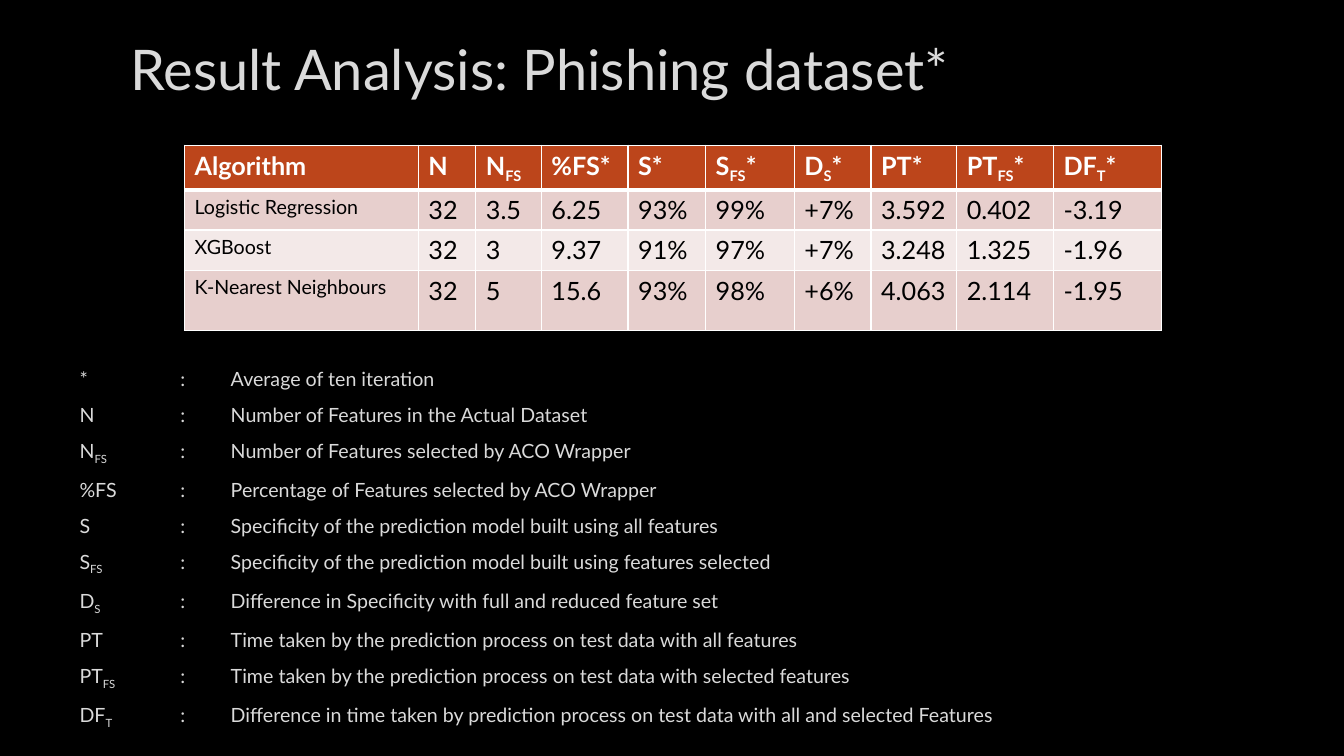
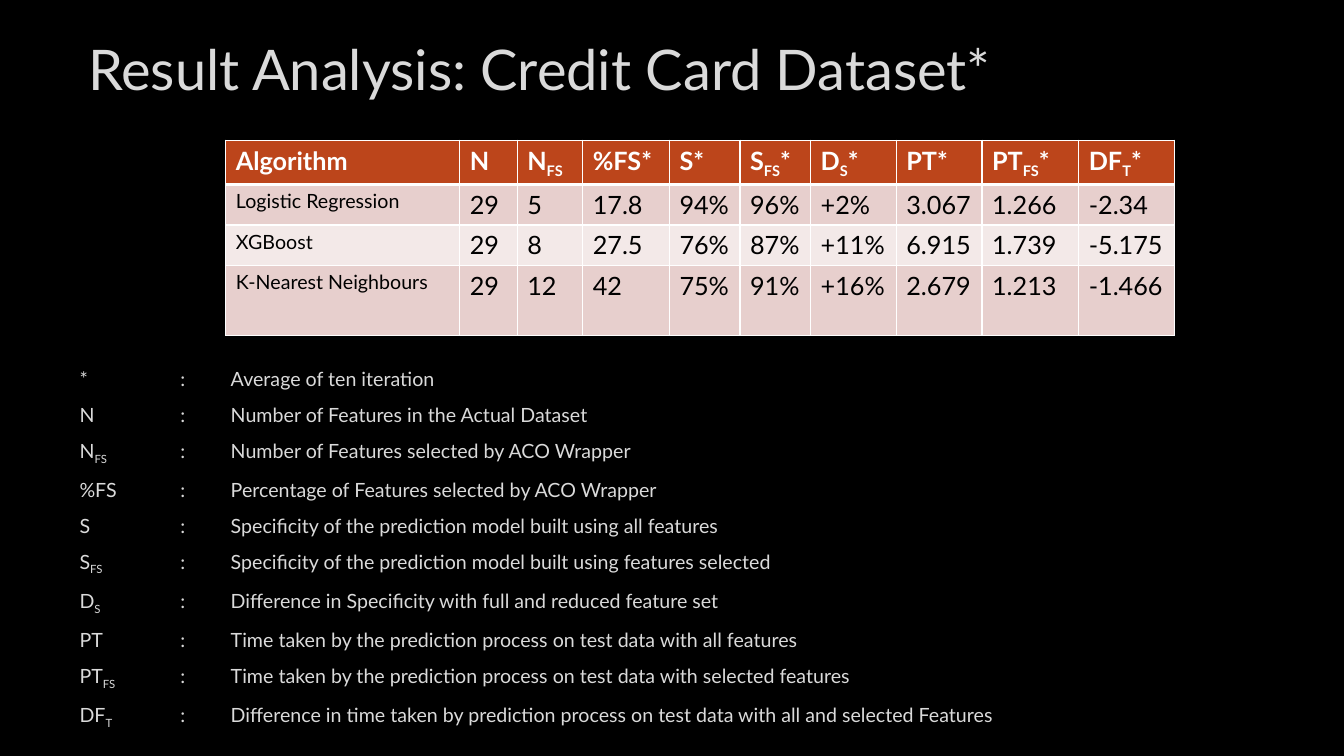
"""Builds two result analysis slides, each with a table and its legend."""
from lxml import etree
from pptx import Presentation
from pptx.dml.color import RGBColor
from pptx.enum import text
from pptx.oxml import ns
from pptx.util import Inches, Pt

BLACK = RGBColor(0x00, 0x00, 0x00)
WHITE = RGBColor(0xFF, 0xFF, 0xFF)
LIGHT_GREY = RGBColor(0xDA, 0xDA, 0xDA)
RUST = RGBColor(0xBC, 0x45, 0x1B)
BANDS = [RGBColor(0xE7, 0xCF, 0xCD), RGBColor(0xF3, 0xE9, 0xE8)]

HEADINGS = ["Algorithm", "N", "N|FS", "%FS*", "S*", "S|FS|*", "D|S|*", "PT*", "PT|FS|*", "DF|T|*"]
LEGEND = [
    ("*", "Average of ten iteration"),
    ("N", "Number of Features in the Actual Dataset"),
    ("N|FS|", "Number of Features selected by ACO Wrapper"),
    ("%FS", "Percentage of Features selected by ACO Wrapper"),
    ("S", "Specificity of the prediction model built using all features"),
    ("S|FS|", "Specificity of the prediction model built using features selected"),
    ("D|S|", "Difference in Specificity with full and reduced feature set"),
    ("PT", "Time taken by the prediction process on test data with all features"),
    ("PT|FS|", "Time taken by the prediction process on test data with selected features"),
    ("DF|T|", "Difference in time taken by prediction process on test data with all and selected Features"),
]
LEGEND_TABS = [1.0, 1.5]

RESULTS = [
    {
        "title": "Result Analysis: Phishing dataset*",
        "left": 1.83, "top": 1.44,
        "widths": [2.32, 0.57, 0.65, 0.86, 0.77, 0.88, 0.76, 0.85, 0.96, 1.07],
        "heights": [0.37, 0.37, 0.37, 0.6],
        "rows": [
            ["Logistic Regression", "32", "3.5", "6.25", "93%", "99%", "+7%", "3.592", "0.402", "-3.19"],
            ["XGBoost", "32", "3", "9.37", "91%", "97%", "+7%", "3.248", "1.325", "-1.96"],
            ["K-Nearest Neighbours", "32", "5", "15.6", "93%", "98%", "+6%", "4.063", "2.114", "-1.95"],
        ],
    },
    {
        "title": "Result Analysis: Credit Card Dataset*",
        "left": 2.24, "top": 1.39,
        "widths": [2.32, 0.57, 0.65, 0.86, 0.7, 0.7, 0.85, 0.85, 0.96, 0.95],
        "heights": [0.35, 0.35, 0.35, 0.7],
        "rows": [
            ["Logistic Regression", "29", "5", "17.8", "94%", "96%", "+2%", "3.067", "1.266", "-2.34"],
            ["XGBoost", "29", "8", "27.5", "76%", "87%", "+11%", "6.915", "1.739", "-5.175"],
            ["K-Nearest Neighbours", "29", "12", "42", "75%", "91%", "+16%", "2.679", "1.213", "-1.466"],
        ],
    },
]


def write(paragraph, content, size=18, color=LIGHT_GREY, bold=False, align=text.PP_ALIGN.LEFT):
    """Write content, lowering every second part between bars to a subscript."""
    paragraph.alignment = align
    for index, part in enumerate(content.split("|")):
        if part:
            run = paragraph.add_run()
            run.text = part
            run.font.name = "Lato"
            run.font.size = Pt(size)
            run.font.bold = bold
            run.font.color.rgb = color
            if index % 2:
                run.font._element.set("baseline", "-25000")


def add_borders(cell, row):
    """Rule all sides of a cell in white, with a thick line under the header row."""
    properties = cell._tc.get_or_add_tcPr()
    for side in "LRTB":
        thick = (row, side) in [(0, "B"), (1, "T")]
        line = etree.SubElement(properties, ns.qn(f"a:ln{side}"), w=str(Pt(3 if thick else 1)))
        fill = etree.SubElement(line, ns.qn("a:solidFill"))
        etree.SubElement(fill, ns.qn("a:srgbClr"), val=str(WHITE))


deck = Presentation()
deck.slide_width, deck.slide_height = Inches(13.33), Inches(7.5)

for result in RESULTS:
    slide = deck.slides.add_slide(deck.slide_layouts[6])
    slide.background.fill.solid()
    slide.background.fill.fore_color.rgb = BLACK

    title = slide.shapes.add_textbox(Inches(0.65), Inches(0.26), Inches(9.4), Inches(0.83)).text_frame
    title.word_wrap = True
    title.vertical_anchor = text.MSO_ANCHOR.MIDDLE
    write(title.paragraphs[0], result["title"], size=40, align=text.PP_ALIGN.CENTER)

    legend = slide.shapes.add_textbox(Inches(0.69), Inches(3.59), Inches(9.52), Inches(3.65)).text_frame
    legend.word_wrap = True
    for index, (symbol, meaning) in enumerate(LEGEND):
        entry = legend.add_paragraph() if index else legend.paragraphs[0]
        stops = etree.SubElement(entry._p.get_or_add_pPr(), ns.qn("a:tabLst"))
        for stop in LEGEND_TABS:
            etree.SubElement(stops, ns.qn("a:tab"), pos=str(Inches(stop)), algn="l")
        entry.space_before = Pt(2.8 if index else 0)
        entry.space_after = Pt(6)
        write(entry, f"{symbol}\t:\t{meaning}", size=14)

    rows = [HEADINGS] + result["rows"]
    scores = slide.shapes.add_table(
        len(rows), len(HEADINGS), Inches(result["left"]), Inches(result["top"]),
        Inches(sum(result["widths"])), Inches(sum(result["heights"]))).table
    for column, width in zip(scores.columns, result["widths"]):
        column.width = Inches(width)
    for r, (values, height) in enumerate(zip(rows, result["heights"])):
        scores.rows[r].height = Inches(height)
        for c, value in enumerate(values):
            cell = scores.cell(r, c)
            add_borders(cell, r)
            cell.fill.solid()
            cell.fill.fore_color.rgb = BANDS[(r - 1) % 2] if r else RUST
            write(cell.text_frame.paragraphs[0], value, size=14 if r and c == 0 else 18,
                  color=BLACK if r else WHITE, bold=r == 0)

deck.save("out.pptx")
